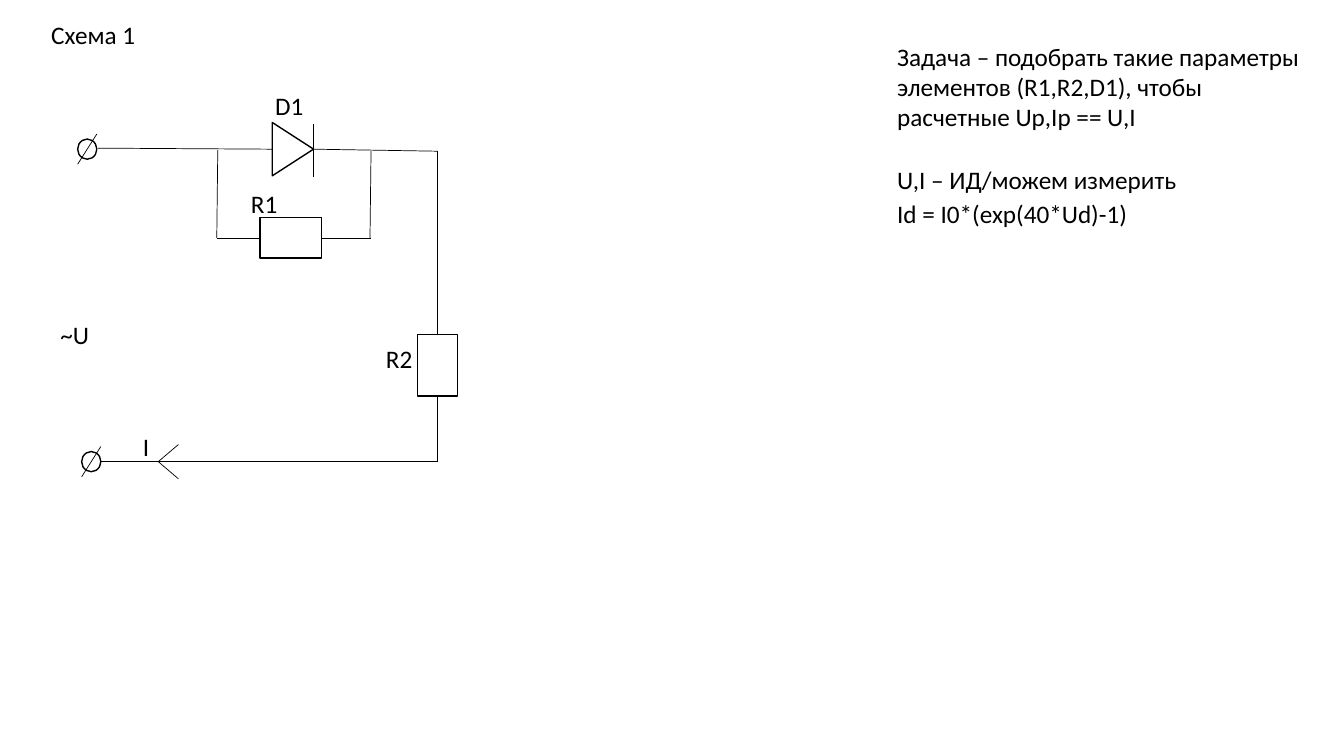
from pptx import Presentation
from pptx.dml.color import RGBColor
from pptx.enum.shapes import MSO_CONNECTOR as Connector, MSO_SHAPE as Shape
from pptx.enum.text import MSO_AUTO_SIZE as AutoSize
from pptx.oxml.ns import qn
from pptx.util import Inches, Pt
from lxml import etree

# Content: (text, left, top, width, height), in inches
BLACK = "000000"
NOTE_LEFT, NOTE_WIDTH, LABEL_WIDTH, LINE_HEIGHT = 8.8, 4.33, 1.14, 0.4
TITLE = ("Схема 1", 0.41, 0.14, NOTE_WIDTH, LINE_HEIGHT)
TASK = ("Задача – подобрать такие параметры элементов (R1,R2,D1), чтобы "
        "расчетные Uр,Iр == U,I", NOTE_LEFT, 0.36, NOTE_WIDTH, 1.01)
FORMULAS = [("Id = I0*(exp(40*Ud)-1)", 1.92), ("U,I – ИД/можем измерить", 1.58)]
LABELS = [("~U", 0.5, 3.12), ("I", 1.32, 4.23), ("R1", 2.39, 1.82),
          ("R2", 3.73, 3.36), ("D1", 2.63, 0.85)]

# Circuit geometry
TOP_WIRE, BOTTOM_WIRE, BRANCH_WIRE = 1.48, 4.58, 2.36
RIGHT_WIRE, RIGHT_TOP = 4.34, 1.5
DIODE_BASE, DIODE_TIP = 2.7, 3.11
DIODE_HEIGHT = 0.53
RESISTOR_LONG, RESISTOR_SHORT = 0.61, 0.4
TERMINAL_WIDTH, TERMINAL_HEIGHT = 0.19, 0.2
TERMINALS = [(0.77, TOP_WIRE), (0.81, BOTTOM_WIRE)]
ARROW_TIP, ARROW_LENGTH, ARROW_RISE = 1.57, 0.2, 0.17
WIRES = [
    ((0.97, 1.47), (DIODE_BASE, TOP_WIRE)),
    ((DIODE_TIP, TOP_WIRE), (RIGHT_WIRE, RIGHT_TOP)),
    ((DIODE_TIP, 1.23), (DIODE_TIP, 1.76)),
    ((2.16, 1.49), (2.15, BRANCH_WIRE)),
    ((3.68, RIGHT_TOP), (3.67, BRANCH_WIRE)),
    ((1.0, BOTTOM_WIRE), (RIGHT_WIRE, BOTTOM_WIRE)),
]


def color(value):
    return RGBColor.from_string(value)


def add_text(parent, text, left, top, width, height):
    box = parent.add_textbox(*map(Inches, (left, top, width, height)))
    frame = box.text_frame
    frame.word_wrap = True
    frame.auto_size = AutoSize.SHAPE_TO_FIT_TEXT
    paragraph = frame.paragraphs[0]
    paragraph.text = text
    paragraph.font.name = "Calibri"
    paragraph.font.size = Pt(18)
    paragraph.font.color.rgb = color(BLACK)


def add_part(parent, kind, left, top, width, height, rotation=0):
    shape = parent.add_shape(kind, *map(Inches, (left, top, width, height)))
    shape.rotation = rotation
    shape.shadow.inherit = False
    shape.fill.background()
    shape.line.color.rgb = color(BLACK)
    shape.line.width = Pt(1)
    return shape


def add_wire(parent, start, end):
    wire = parent.add_connector(Connector.STRAIGHT, *map(Inches, (*start, *end)))
    wire.line.color.rgb = color(BLACK)
    wire.line.width = Pt(0.5)
    etree.SubElement(wire._element.spPr, qn("a:effectLst"))
    return wire


def add_circuit(parent):
    for start, end in WIRES:
        add_wire(parent, start, end)

    # Diode: a triangle turned to point right
    length = DIODE_TIP - DIODE_BASE
    add_part(parent, Shape.ISOSCELES_TRIANGLE,
             (DIODE_BASE + DIODE_TIP - DIODE_HEIGHT) / 2, TOP_WIRE - length / 2,
             DIODE_HEIGHT, length, 90)

    # Resistors and the wires joined to their sides
    r1 = add_part(parent, Shape.RECTANGLE, 2.58, BRANCH_WIRE - RESISTOR_SHORT / 2,
                  RESISTOR_LONG, RESISTOR_SHORT)
    r2 = add_part(parent, Shape.RECTANGLE, RIGHT_WIRE - RESISTOR_SHORT / 2, 3.32,
                  RESISTOR_SHORT, RESISTOR_LONG)
    for resistor, side, start in [
            (r1, 1, (2.15, BRANCH_WIRE)), (r1, 3, (3.68, BRANCH_WIRE)),
            (r2, 0, (RIGHT_WIRE, RIGHT_TOP)), (r2, 2, (RIGHT_WIRE, BOTTOM_WIRE))]:
        add_wire(parent, start, start).end_connect(resistor, side)

    # Terminals with their slashes
    for left, middle in TERMINALS:
        add_part(parent, Shape.OVAL, left, middle - TERMINAL_HEIGHT / 2,
                 TERMINAL_WIDTH, TERMINAL_HEIGHT)
        add_wire(parent, (left, middle + 0.15), (left + TERMINAL_WIDTH, middle - 0.15))

    # Current arrow
    for rise in (-ARROW_RISE, ARROW_RISE):
        add_wire(parent, (ARROW_TIP, BOTTOM_WIRE),
                 (ARROW_TIP + ARROW_LENGTH, BOTTOM_WIRE + rise))

    for text, left, top in LABELS:
        add_text(parent, text, left, top, LABEL_WIDTH, LINE_HEIGHT)


def main():
    presentation = Presentation()
    presentation.slide_width, presentation.slide_height = Inches(13.33), Inches(7.5)
    slide = presentation.slides.add_slide(presentation.slide_layouts[6])

    # Title, formulas and task
    add_text(slide.shapes, *TITLE)
    formulas = slide.shapes.add_group_shape()
    for text, top in FORMULAS:
        add_text(formulas.shapes, text, NOTE_LEFT, top, NOTE_WIDTH, LINE_HEIGHT)
    add_text(slide.shapes, *TASK)

    add_circuit(slide.shapes.add_group_shape().shapes)
    presentation.save("out.pptx")


if __name__ == "__main__":
    main()
